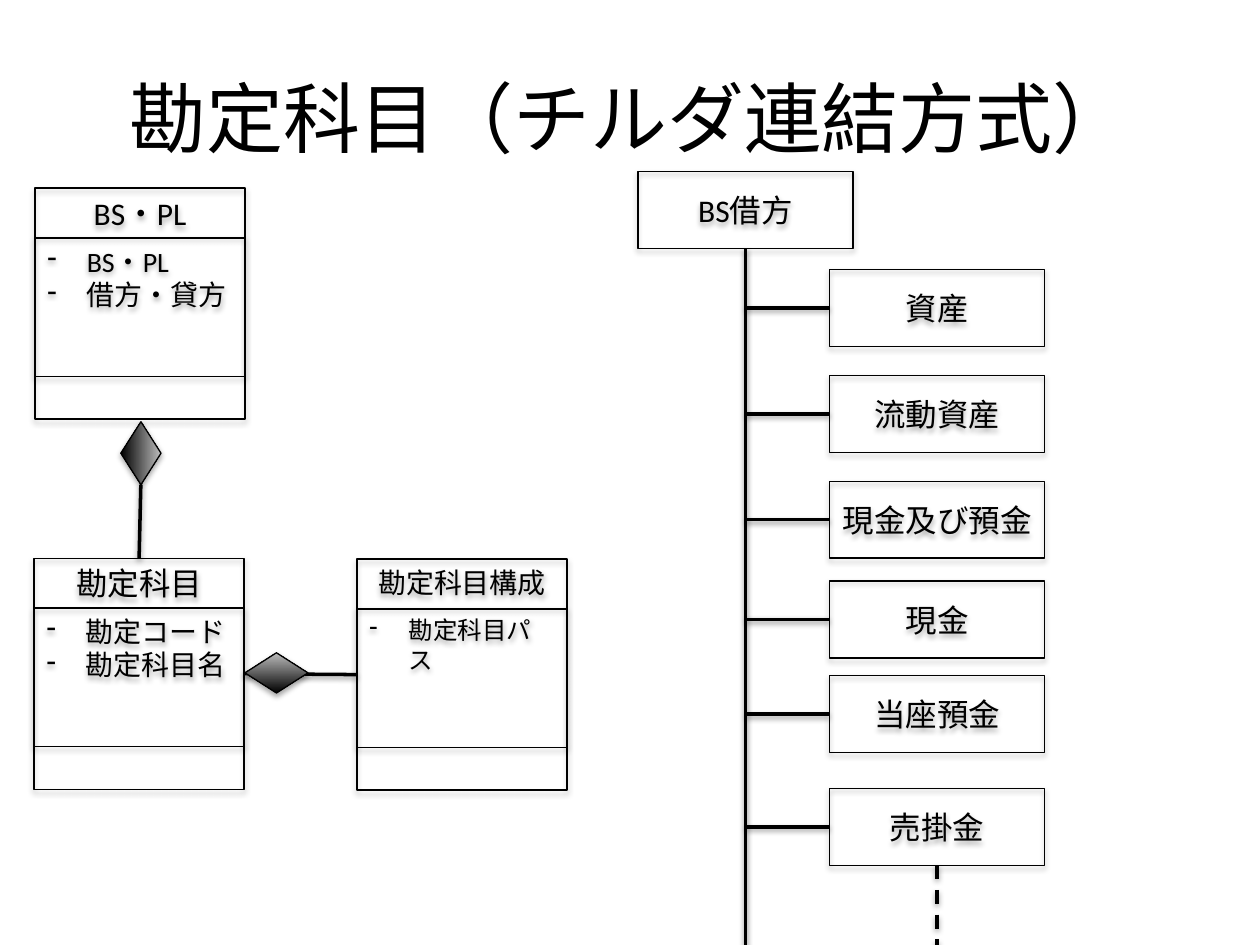
from dataclasses import dataclass

from lxml.etree import SubElement
from pptx import Presentation
from pptx.dml.color import RGBColor
from pptx.enum.dml import MSO_LINE
from pptx.enum.shapes import MSO_CONNECTOR, MSO_SHAPE
from pptx.enum.text import MSO_ANCHOR as Anchor, PP_ALIGN as Align
from pptx.oxml.ns import qn
from pptx.util import Pt

TOP, LEFT, BOTTOM, RIGHT = range(4)


@dataclass(frozen=True)
class Theme:
    font: str = "Calibri"
    ink: RGBColor = RGBColor(0, 0, 0)
    silver: RGBColor = RGBColor(0xBD, 0xBD, 0xBD)
    title: int = 44
    label: int = 18
    item: int = 16
    small: int = 14
    outline: float = 0.75
    stroke: float = 2
    indent: float = 22.5


THEME = Theme()


def cast_shadow(shape, distance, opacity):
    effects = SubElement(shape._element.spPr, qn("a:effectLst"))
    shadow = SubElement(effects, qn("a:outerShdw"), blurRad=str(Pt(3.15)),
                        dist=str(Pt(distance)), dir="5400000", rotWithShape="0")
    color = SubElement(shadow, qn("a:srgbClr"), val=str(THEME.ink))
    SubElement(color, qn("a:alpha"), val=str(opacity * 1000))


def add_bullet(para):
    properties = para._p.get_or_add_pPr()
    properties.set("marL", str(Pt(THEME.indent)))
    properties.set("indent", str(-Pt(THEME.indent)))
    SubElement(properties, qn("a:buFontTx"))
    SubElement(properties, qn("a:buChar"), char="-")


def write(shape, *lines, size=THEME.label, align=Align.CENTER,
          anchor=Anchor.MIDDLE, bullet=False):
    frame = shape.text_frame
    frame.word_wrap = True
    frame.vertical_anchor = anchor
    for index, line in enumerate(lines):
        para = frame.add_paragraph() if index else frame.paragraphs[0]
        para.alignment = align
        if bullet:
            add_bullet(para)
        span = para.add_run()
        span.text = line
        span.font.name = THEME.font
        span.font.size = Pt(size)
        span.font.color.rgb = THEME.ink


def add_outlined(page, kind, left, top, width, height):
    shape = page.shapes.add_shape(kind, Pt(left), Pt(top), Pt(width), Pt(height))
    shape.fill.background()
    shape.line.color.rgb = THEME.ink
    shape.line.width = Pt(THEME.outline)
    cast_shadow(shape, 1.8, 35)
    return shape


def add_line(page, start, end):
    line = page.shapes.add_connector(MSO_CONNECTOR.STRAIGHT, *start, *end)
    line.line.color.rgb = THEME.ink
    line.line.width = Pt(THEME.stroke)
    cast_shadow(line, 1.6, 38)
    return line


def add_title(page, text, left, top, width, height):
    box = page.shapes.add_textbox(Pt(left), Pt(top), Pt(width), Pt(height))
    write(box, text, size=THEME.title)


def add_class(page, name, items, left, top, width=120, height=132,
              name_size=THEME.label, item_size=THEME.item):
    box = add_outlined(page, MSO_SHAPE.RECTANGLE, left, top, width, height)
    write(box, name, size=name_size, anchor=Anchor.TOP)
    fields = add_outlined(page, MSO_SHAPE.RECTANGLE, left, top + 28.5,
                          width, height * 0.6)
    write(fields, *items, size=item_size, align=Align.LEFT,
          anchor=Anchor.TOP, bullet=True)
    return box


def add_diamond(page, left, top, width=36, height=23, rotation=0):
    diamond = add_outlined(page, MSO_SHAPE.FLOWCHART_DECISION,
                           left, top, width, height)
    diamond.rotation = rotation
    diamond.fill.gradient()
    diamond.fill.gradient_angle = 90
    for stop, position, color in zip(diamond.fill.gradient_stops, (0, 1),
                                     (THEME.ink, THEME.silver)):
        stop.position = position
        stop.color.rgb = color


def add_class_diagram(page, left, top):
    add_class(page, "BS・PL", ["BS・PL", "借方・貸方"], left + 0.5, top)
    account = add_class(page, "勘定科目", ["勘定コード", "勘定科目名"],
                        left, top + 211.5)
    structure = add_class(page, "勘定科目構成", ["勘定科目パス"],
                          left + 184.5, top + 212,
                          name_size=THEME.item, item_size=THEME.small)

    add_diamond(page, left + 43, top + 140, rotation=90)
    upper = add_line(page, (Pt(left + 61), Pt(top + 169.5)),
                     (account.left + account.width // 2, account.top))
    upper.end_connect(account, TOP)

    side = add_line(page, (account.left, account.top),
                    (structure.left, structure.top))
    side.begin_connect(account, RIGHT)
    side.end_connect(structure, LEFT)
    add_diamond(page, left + 120.5, top + 265.5)


def add_account_tree(page, left, top, bottom, width=123, height=44):
    def add_node(text, x, y):
        node = add_outlined(page, MSO_SHAPE.RECTANGLE, x, y, width, height)
        write(node, text)
        return node

    def add_drop(node):
        x = node.left + node.width // 2
        line = add_line(page, (x, node.top + node.height), (x, Pt(bottom)))
        line.begin_connect(node, BOTTOM)
        return line

    root = add_node("BS借方", left, top)
    trunk = add_drop(root)
    branches = {"資産": 56, "流動資産": 116.5, "現金及び預金": 177,
                "現金": 234, "当座預金": 288, "売掛金": 352.5}
    for text, offset in branches.items():
        node = add_node(text, left + 109.5, top + offset)
        middle = node.top + node.height // 2
        branch = add_line(page, (trunk.begin_x, middle), (node.left, middle))
        branch.end_connect(node, LEFT)
    add_drop(node).line.dash_style = MSO_LINE.DASH


def main():
    deck = Presentation()
    deck.slide_width, deck.slide_height = Pt(720), Pt(540)
    page = deck.slides.add_slide(deck.slide_layouts[6])
    add_title(page, "勘定科目（チルダ連結方式）", 36, 21.6, 648, 90)
    add_class_diagram(page, 19.5, 107.5)
    add_account_tree(page, 364.5, 98, 540)
    deck.save("out.pptx")


if __name__ == "__main__":
    main()
